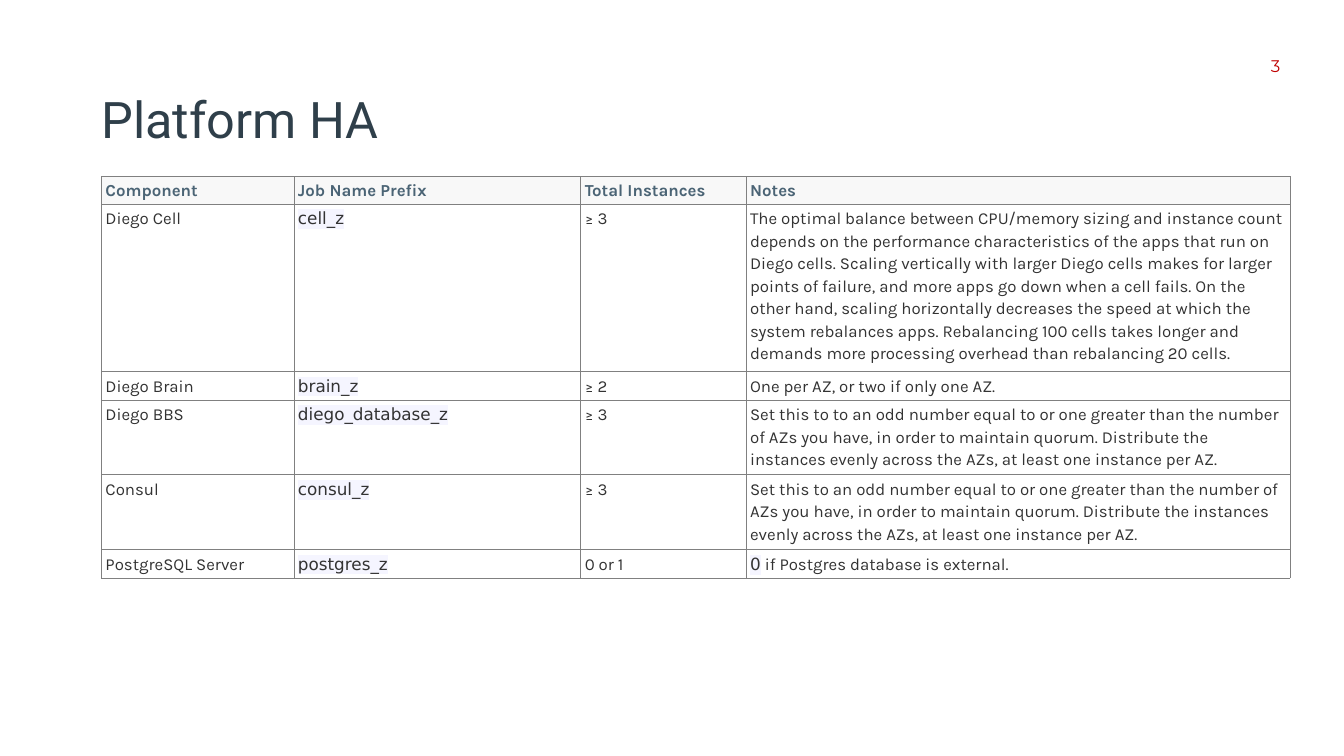
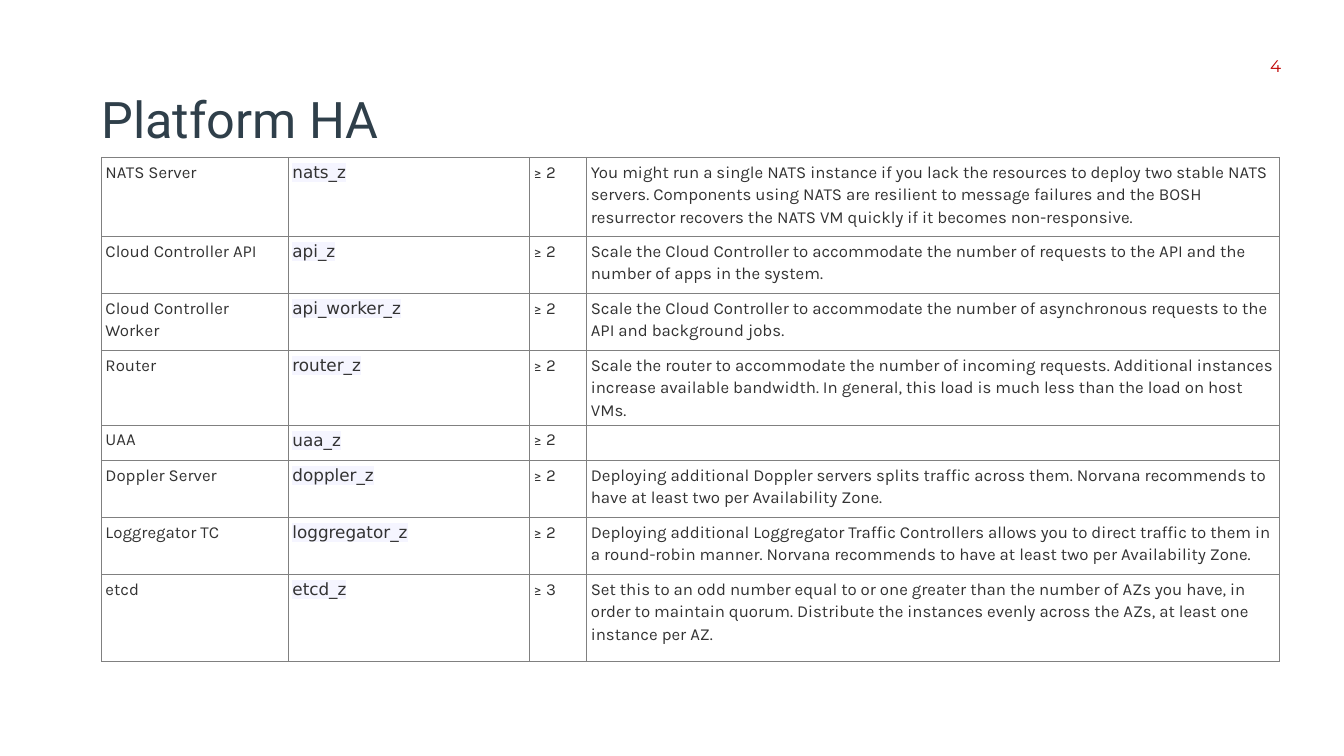
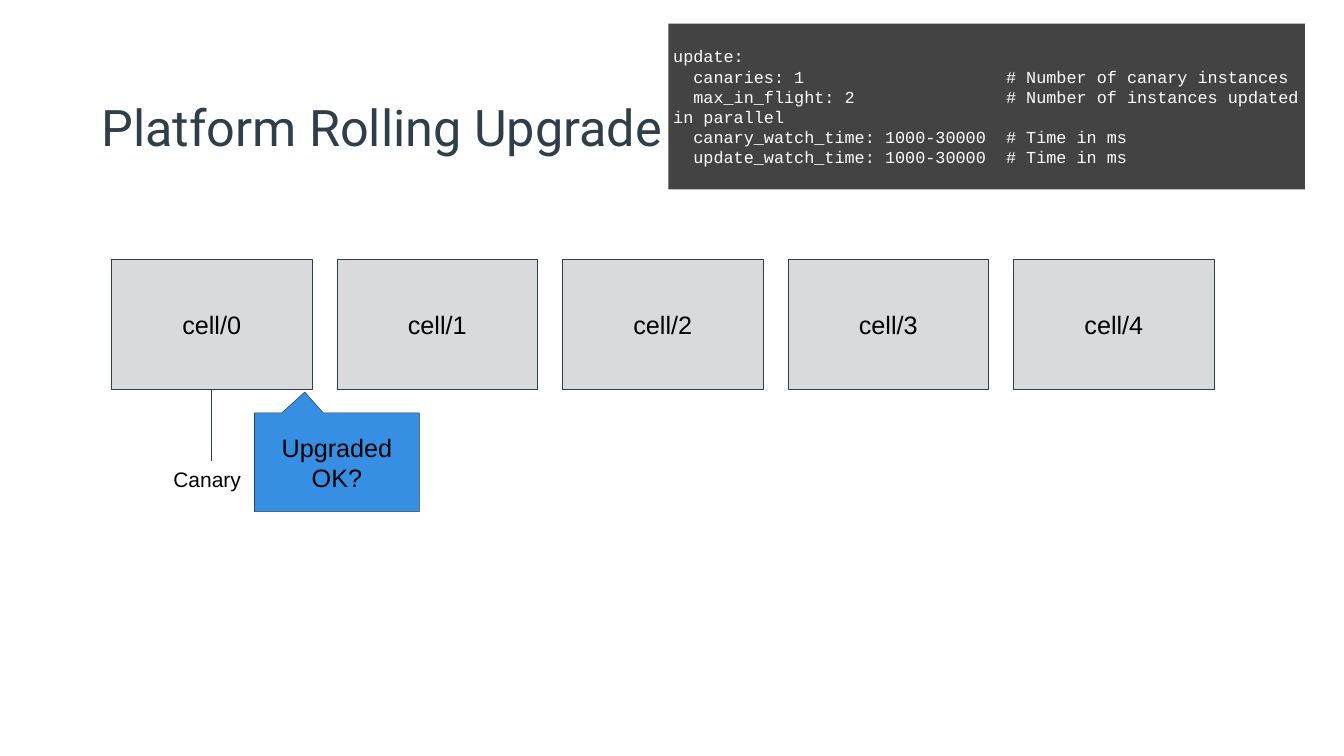
from lxml import etree
from pptx import Presentation
from pptx.dml.color import RGBColor
from pptx.enum.shapes import MSO_CONNECTOR, MSO_SHAPE
from pptx.enum.text import MSO_ANCHOR, PP_ALIGN
from pptx.oxml.ns import qn
from pptx.util import Pt

RECT, CALLOUT = MSO_SHAPE.RECTANGLE, MSO_SHAPE.RECTANGULAR_CALLOUT
STRAIGHT = MSO_CONNECTOR.STRAIGHT
LEFT, CENTER = PP_ALIGN.LEFT, PP_ALIGN.CENTER
TOP, MIDDLE = MSO_ANCHOR.TOP, MSO_ANCHOR.MIDDLE

WHITE = RGBColor(0xFF, 0xFF, 0xFF)
BLACK = RGBColor(0x00, 0x00, 0x00)
SLATE = RGBColor(0x2F, 0x3F, 0x4A)
RED = RGBColor(0xC0, 0x00, 0x00)
HEADER_TEXT = RGBColor(0x4B, 0x64, 0x75)
HEADER_FILL = RGBColor(0xF8, 0xF8, 0xF8)
BODY_TEXT = RGBColor(0x33, 0x33, 0x33)
CODE_TINT = RGBColor(0xF5, 0xF5, 0xFF)
BORDER = RGBColor(0x80, 0x80, 0x80)
CELL_GRAY = RGBColor(0xD8, 0xDA, 0xDB)
CODE_FILL = RGBColor(0x43, 0x43, 0x43)
BLUE = RGBColor(0x36, 0x8F, 0xE2)

QUORUM = ("an odd number equal to or one greater than the number of AZs you have, "
          "in order to maintain quorum. Distribute the instances evenly across the "
          "AZs, at least one instance per AZ.")

HEADER = ("Component", "Job Name Prefix", "Total Instances", "Notes")
CORE_JOBS = [
    ("Diego Cell", "cell_z", "≥ 3",
     "The optimal balance between CPU/memory sizing and instance count depends on the "
     "performance characteristics of the apps that run on Diego cells. Scaling vertically "
     "with larger Diego cells makes for larger points of failure, and more apps go down "
     "when a cell fails. On the other hand, scaling horizontally decreases the speed at "
     "which the system rebalances apps. Rebalancing 100 cells takes longer and demands "
     "more processing overhead than rebalancing 20 cells."),
    ("Diego Brain", "brain_z", "≥ 2", "One per AZ, or two if only one AZ."),
    ("Diego BBS", "diego_database_z", "≥ 3", "Set this to to " + QUORUM),
    ("Consul", "consul_z", "≥ 3", "Set this to " + QUORUM),
    ("PostgreSQL Server", "postgres_z", "0 or 1", "`0` if Postgres database is external."),
]
SERVICE_JOBS = [
    ("NATS Server", "nats_z", "≥ 2",
     "You might run a single NATS instance if you lack the resources to deploy two stable "
     "NATS servers. Components using NATS are resilient to message failures and the BOSH "
     "resurrector recovers the NATS VM quickly if it becomes non-responsive."),
    ("Cloud Controller API", "api_z", "≥ 2",
     "Scale the Cloud Controller to accommodate the number of requests to the API and the "
     "number of apps in the system."),
    ("Cloud Controller Worker", "api_worker_z", "≥ 2",
     "Scale the Cloud Controller to accommodate the number of asynchronous requests to the "
     "API and background jobs."),
    ("Router", "router_z", "≥ 2",
     "Scale the router to accommodate the number of incoming requests. Additional instances "
     "increase available bandwidth. In general, this load is much less than the load on "
     "host VMs."),
    ("UAA", "uaa_z", "≥ 2", ""),
    ("Doppler Server", "doppler_z", "≥ 2",
     "Deploying additional Doppler servers splits traffic across them. Norvana recommends "
     "to have at least two per Availability Zone."),
    ("Loggregator TC", "loggregator_z", "≥ 2",
     "Deploying additional Loggregator Traffic Controllers allows you to direct traffic to "
     "them in a round-robin manner. Norvana recommends to have at least two per "
     "Availability Zone."),
    ("etcd", "etcd_z", "≥ 3", "Set this to " + QUORUM),
]
UPDATE_CONFIG = """update:
  canaries: 1                    # Number of canary instances
  max_in_flight: 2               # Number of instances updated in parallel
  canary_watch_time: 1000-30000  # Time in ms
  update_watch_time: 1000-30000  # Time in ms"""


def solid(parent, tag, color):
    el = etree.SubElement(parent, qn(tag))
    etree.SubElement(el, qn("a:srgbClr"), val=str(color))
    return el


def put_text(tf, text, size=24, font="Arial", color=BLACK, bold=False, align=LEFT,
             anchor=TOP, spacing=None, inset=(7.2, 7.2), code=False):
    """Write text into a frame; backquoted parts, or all if code, are tinted code."""
    tf.word_wrap = True
    tf.vertical_anchor = anchor
    tf.margin_left = tf.margin_right = Pt(inset[0])
    tf.margin_top = tf.margin_bottom = Pt(inset[1])
    p = tf.paragraphs[0]
    p.alignment = align
    p.line_spacing = spacing
    for n, line in enumerate(text.split("\n")):
        if n:
            p.add_line_break()
        for k, part in enumerate(line.split("`")):
            if not part:
                continue
            tinted = code or k % 2 == 1
            r = p.add_run()
            r.text = part
            r.font.size, r.font.bold = Pt(size), bold
            r.font.name = "DejaVu Sans" if tinted else font
            r.font.color.rgb = color
            if tinted:
                rpr = r.font._element
                rpr.find(qn("a:solidFill")).addnext(solid(rpr, "a:highlight", CODE_TINT))


class Deck:
    def __init__(self):
        self.prs = Presentation()
        self.prs.slide_width, self.prs.slide_height = Pt(1920), Pt(1080)
        self.s = None

    def slide(self, title, top=118.8, number=None):
        self.s = self.prs.slides.add_slide(self.prs.slide_layouts[6])
        self.s.background.fill.solid()
        self.s.background.fill.fore_color.rgb = WHITE
        self.text(144.7, top, 1296.7, 99.4, title, size=72, font="Roboto", color=SLATE,
                  anchor=MIDDLE, inset=(0, 0))
        if number:
            self.text(1805, 79.9, 34.6, 28.8, str(number), font="Montserrat", color=RED,
                      align=CENTER, anchor=MIDDLE, inset=(0, 0))

    def text(self, x, y, w, h, text, **fmt):
        sp = self.s.shapes.add_textbox(Pt(x), Pt(y), Pt(w), Pt(h))
        put_text(sp.text_frame, text, **fmt)
        return sp

    def shape(self, x, y, w, h, text, fill, kind=RECT, line=SLATE, **fmt):
        sp = self.s.shapes.add_shape(kind, Pt(x), Pt(y), Pt(w), Pt(h))
        sp.shadow.inherit = False
        sp.fill.solid()
        sp.fill.fore_color.rgb = fill
        if line is None:
            sp.line.fill.background()
        else:
            sp.line.color.rgb, sp.line.width = line, Pt(0.75)
        put_text(sp.text_frame, text, anchor=MIDDLE, **fmt)
        return sp

    def connect(self, start, start_side, end, end_side):
        c = self.s.shapes.add_connector(STRAIGHT, 0, 0, 0, 0)
        c.begin_connect(start, start_side)
        c.end_connect(end, end_side)
        c.line.color.rgb, c.line.width = SLATE, Pt(0.75)
        etree.SubElement(c._element.spPr, qn("a:effectLst"))

    def cell(self, cell, text, header=False, code=False):
        put_text(cell.text_frame, text, font="Karla", bold=header, code=code,
                 color=HEADER_TEXT if header else BODY_TEXT,
                 spacing=1.1 if header else 1.15)
        cell.margin_left = cell.margin_right = Pt(6)
        cell.margin_top = cell.margin_bottom = Pt(3.75)
        tcpr = cell._tc.get_or_add_tcPr()
        for side in "LRTB":
            ln = etree.SubElement(tcpr, qn("a:ln" + side), w=str(Pt(0.75)))
            solid(ln, "a:solidFill", BORDER)
        cell.fill.solid()
        cell.fill.fore_color.rgb = HEADER_FILL if header else WHITE

    def table(self, x, y, widths, heights, rows, has_header=False):
        frame = self.s.shapes.add_table(len(rows), len(widths), Pt(x), Pt(y),
                                        Pt(sum(widths)), Pt(sum(heights)))
        tbl = frame.table
        tbl.first_row = tbl.horz_banding = False
        for col, w in zip(tbl.columns, widths):
            col.width = Pt(w)
        for i, (row, h) in enumerate(zip(rows, heights)):
            tbl.rows[i].height = Pt(h)
            header = has_header and i == 0
            for j, text in enumerate(row):
                self.cell(tbl.cell(i, j), text, header, code=j == 1 and not header)


def main():
    deck = Deck()

    deck.slide("Platform HA", number=3)
    deck.table(144.7, 252, [275, 409.7, 236.2, 777.6], [32.4, 195.8, 24.5, 74.2, 74.2, 33.8],
               [HEADER] + CORE_JOBS, has_header=True)

    deck.slide("Platform HA", number=4)
    deck.table(144.7, 224.6, [267.1, 344.2, 82.1, 989.3],
               [113, 81.4, 81.4, 81.4, 50.4, 81.4, 81.4, 124.6], SERVICE_JOBS)

    deck.slide("Platform Rolling Upgrade", top=130.3)
    cells = [deck.shape(159.1 + 322.2 * i, 370.8, 286.6, 185, f"cell/{i}", CELL_GRAY,
                        size=36, align=CENTER) for i in range(5)]
    deck.shape(954.7, 33.8, 909.4, 236.9, UPDATE_CONFIG, CODE_FILL, line=None,
               font="Courier New", color=WHITE)
    canary = deck.text(240.5, 658.8, 123.8, 95, "Canary", size=30)
    deck.connect(canary, 0, cells[0], 2)
    callout = deck.shape(363.6, 589.7, 235.4, 141.1, "Upgraded OK?", BLUE, kind=CALLOUT,
                         size=36, align=CENTER)
    callout.adjustments[0], callout.adjustments[1] = -0.195, -0.71

    deck.prs.save("out.pptx")


if __name__ == "__main__":
    main()
